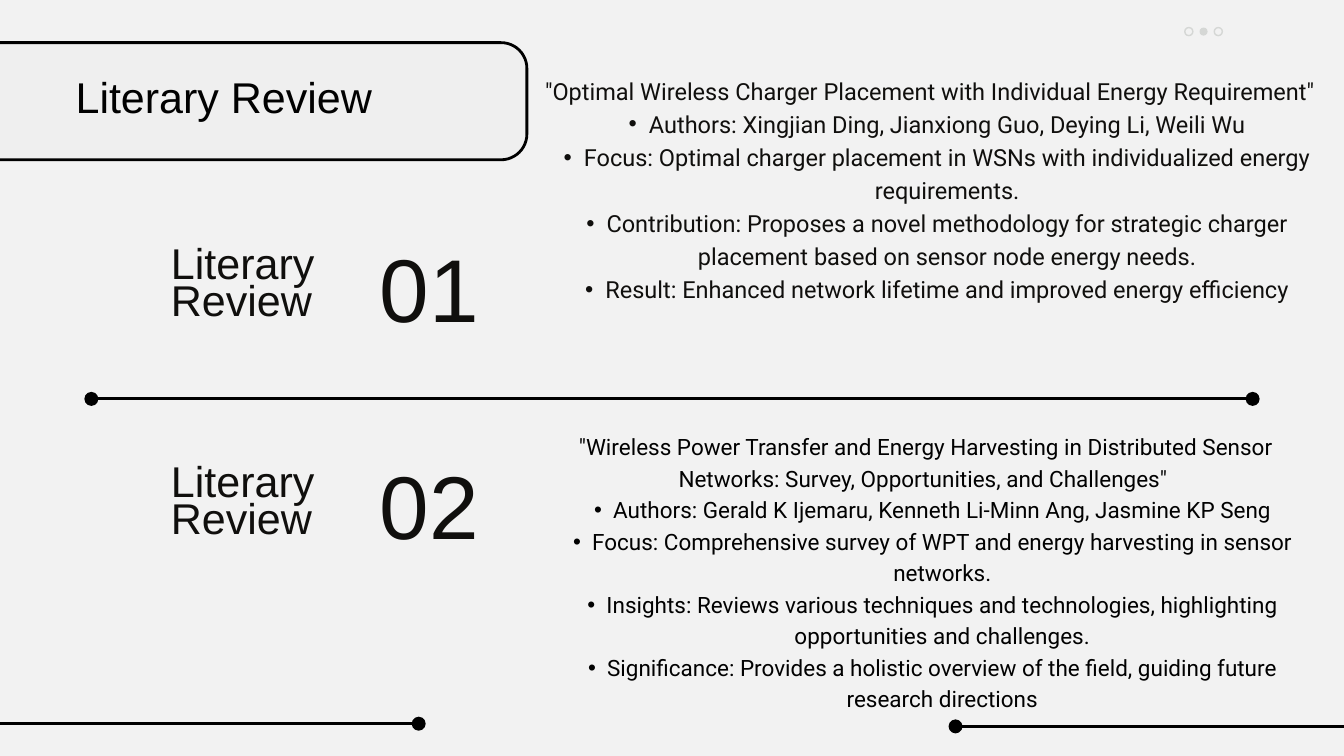
"""Build the literary review slide."""
import dataclasses

import lxml.etree
import pptx
import pptx.dml.color
import pptx.enum.shapes
import pptx.enum.text
import pptx.oxml.ns
import pptx.util

Pt = pptx.util.Pt
Align = pptx.enum.text.PP_ALIGN
Shape = pptx.enum.shapes.MSO_SHAPE


@dataclasses.dataclass(frozen=True)
class Theme:
    """Hold the colours, fonts and type sizes."""
    back: str = "F2F2F2"
    panel: str = "EFEFEF"
    line: str = "000000"
    dot: str = "D5D7D5"
    ink: str = "100F0D"
    dark: str = "010101"
    head: str = "Arial"
    body: str = "Roboto"
    title: float = 46.1
    number: float = 95.5
    first: float = 25.2
    second: float = 24.1


THEME = Theme()

FIRST = (
    ' "Optimal Wireless Charger Placement with Individual Energy Requirement"',
    "Authors: Xingjian Ding, Jianxiong Guo, Deying Li, Weili Wu",
    "Focus: Optimal charger placement in WSNs with individualized energy requirements.",
    "Contribution: Proposes a novel methodology for strategic charger placement "
    "based on sensor node energy needs.",
    "Result: Enhanced network lifetime and improved energy efficiency",
)
SECOND = (
    ' "Wireless Power Transfer and Energy Harvesting in Distributed Sensor Networks: '
    'Survey, Opportunities, and Challenges"',
    "Authors: Gerald K Ijemaru, Kenneth Li-Minn Ang, Jasmine KP Seng",
    "Focus: Comprehensive survey of WPT and energy harvesting in sensor networks.",
    "Insights: Reviews various techniques and technologies, highlighting "
    "opportunities and challenges.",
    "Significance: Provides a holistic overview of the field, guiding future "
    "research directions",
)


def paint(color):
    """Turn a hex string into a colour."""
    return pptx.dml.color.RGBColor.from_string(color)


def add_node(parent, tag, **attrs):
    """Append a drawing element to its parent."""
    return lxml.etree.SubElement(parent, pptx.oxml.ns.qn(tag), attrs)


def add_mark(par, inset):
    """Give a paragraph a bullet with a hanging indent."""
    par.level = 1
    props = par._p.get_or_add_pPr()
    props.set("marL", str(Pt(inset)))
    props.set("indent", str(-Pt(inset / 2)))
    add_node(props, "a:buFont", typeface="Arial")
    add_node(props, "a:buChar", char="•")


def add_text(slide, text, *, box, size, space, color=THEME.ink, font=THEME.head,
             align=Align.LEFT, points=(), inset=0):
    """Write a text box with an optional bullet list."""
    frame = slide.shapes.add_textbox(*map(Pt, box)).text_frame
    frame.margin_left = frame.margin_right = 0
    frame.margin_top = frame.margin_bottom = 0
    frame.word_wrap = True
    frame.auto_size = pptx.enum.text.MSO_AUTO_SIZE.SHAPE_TO_FIT_TEXT
    for place, words in enumerate((text, *points)):
        par = frame.add_paragraph() if place else frame.paragraphs[0]
        if place:
            add_mark(par, inset)
        par.alignment = align
        par.line_spacing = Pt(space)
        run = par.add_run()
        run.text = words
        run.font.name = font
        run.font.size = Pt(size)
        run.font.color.rgb = paint(color)


def add_form(slide, kind, box, fill=None, line=None, width=0):
    """Draw a preset shape with a plain fill and line."""
    form = slide.shapes.add_shape(kind, *map(Pt, box))
    form.shadow.inherit = False
    if fill:
        form.fill.solid()
        form.fill.fore_color.rgb = paint(fill)
    else:
        form.fill.background()
    if line:
        form.line.color.rgb = paint(line)
        form.line.width = Pt(width)
    else:
        form.line.fill.background()
    return form


def add_rule(slide, start, end, top, ends=("tailEnd",)):
    """Draw a level line with large round ends."""
    kind = pptx.enum.shapes.MSO_CONNECTOR.STRAIGHT
    rule = slide.shapes.add_connector(kind, Pt(start), Pt(top), Pt(end), Pt(top))
    rule.line.color.rgb = paint(THEME.line)
    rule.line.width = Pt(3)
    for tag in ends:
        add_node(rule.line._get_or_add_ln(), f"a:{tag}", type="oval", w="lg", len="lg")
    add_node(rule._element.spPr, "a:effectLst")


def add_dots(slide):
    """Draw the row of three page dots."""
    for place in range(3):
        box = (1269.4 + 15.8 * place, 29.5, 8.64, 8.64)
        if place == 1:
            add_form(slide, Shape.OVAL, box, fill=THEME.dot)
        else:
            add_form(slide, Shape.OVAL, box, line=THEME.dot, width=1.5)


def add_label(slide, number, top):
    """Write a section name and its number."""
    add_text(slide, "Literary Review", box=(183.2, top, 223.2, 85),
             size=THEME.title, space=40.1)
    add_text(slide, number, box=(406.8, top + 12.6, 167, 91.4),
             size=THEME.number, space=83)


def main():
    """Build and save the slide."""
    deck = pptx.Presentation()
    deck.slide_width, deck.slide_height = Pt(1440), Pt(810)
    slide = deck.slides.add_slide(deck.slide_layouts[6])
    slide.background.fill.solid()
    slide.background.fill.fore_color.rgb = paint(THEME.back)

    panel = add_form(slide, Shape.ROUNDED_RECTANGLE, (-103.7, 45.7, 668.2, 125.5),
                     fill=THEME.panel, line=THEME.line, width=3)
    panel.adjustments[0] = 0.22
    add_text(slide, "Literary Review", box=(81, 90.7, 451.4, 45.4),
             size=THEME.title, space=40.1, color=THEME.dark)
    add_dots(slide)

    add_rule(slide, -82, 448.6, 775.4)
    add_rule(slide, 1555, 1023.8, 778.3)
    add_rule(slide, 97.9, 1342.1, 427.4, ends=("headEnd", "tailEnd"))

    add_label(slide, "01", 268.6)
    add_label(slide, "02", 501.8)
    add_text(slide, FIRST[0], points=FIRST[1:], box=(573.5, 77, 839.5, 313.9),
             size=THEME.first, space=35.4, font=THEME.body,
             align=Align.CENTER, inset=43.2)
    add_text(slide, SECOND[0], points=SECOND[1:], box=(565, 459.2, 848.2, 333.4),
             size=THEME.second, space=33.8, color=THEME.dark, font=THEME.body,
             align=Align.CENTER, inset=41)
    deck.save("out.pptx")


if __name__ == "__main__":
    main()
